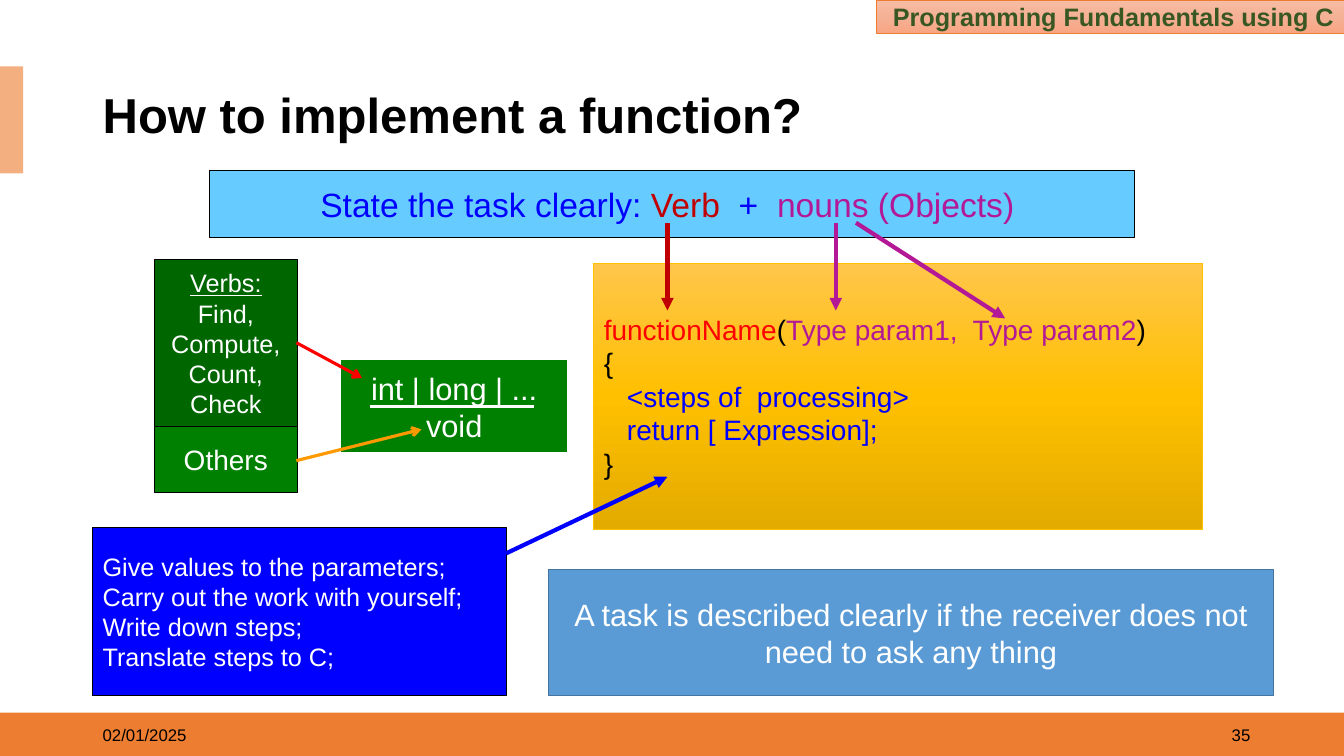
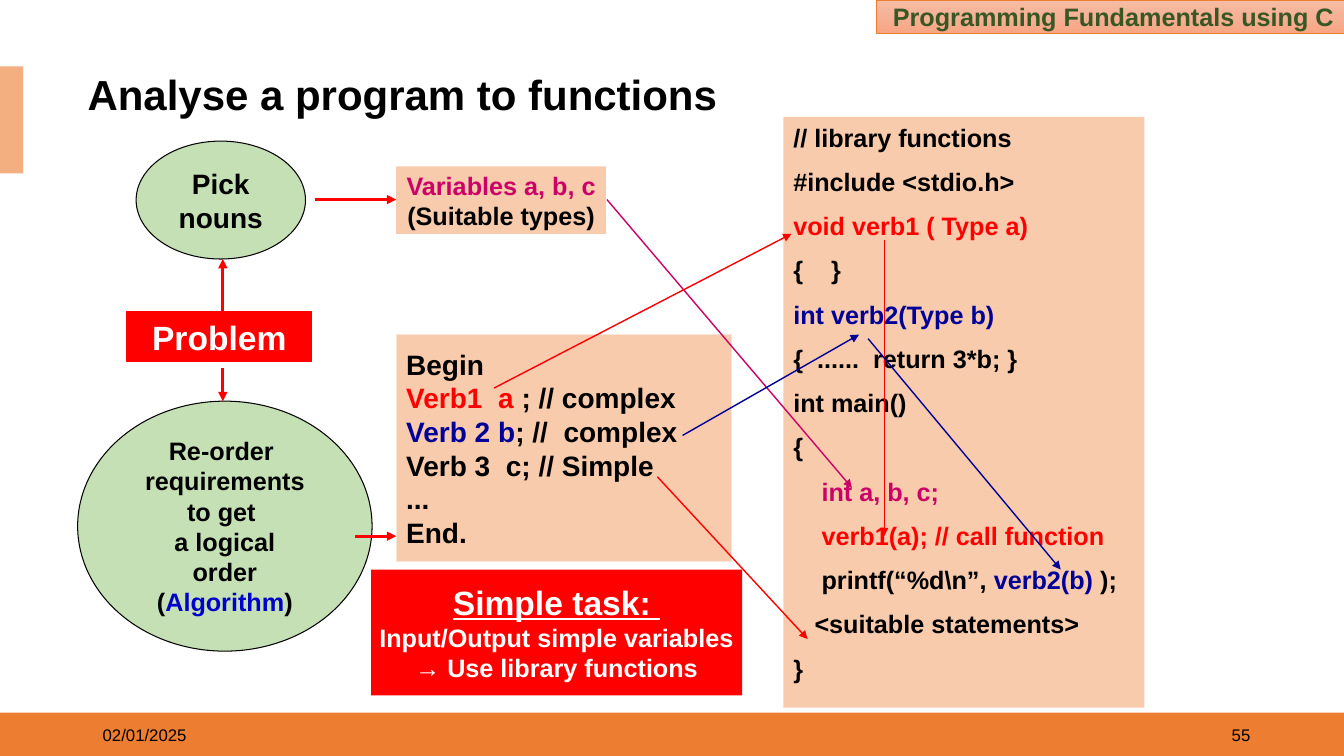
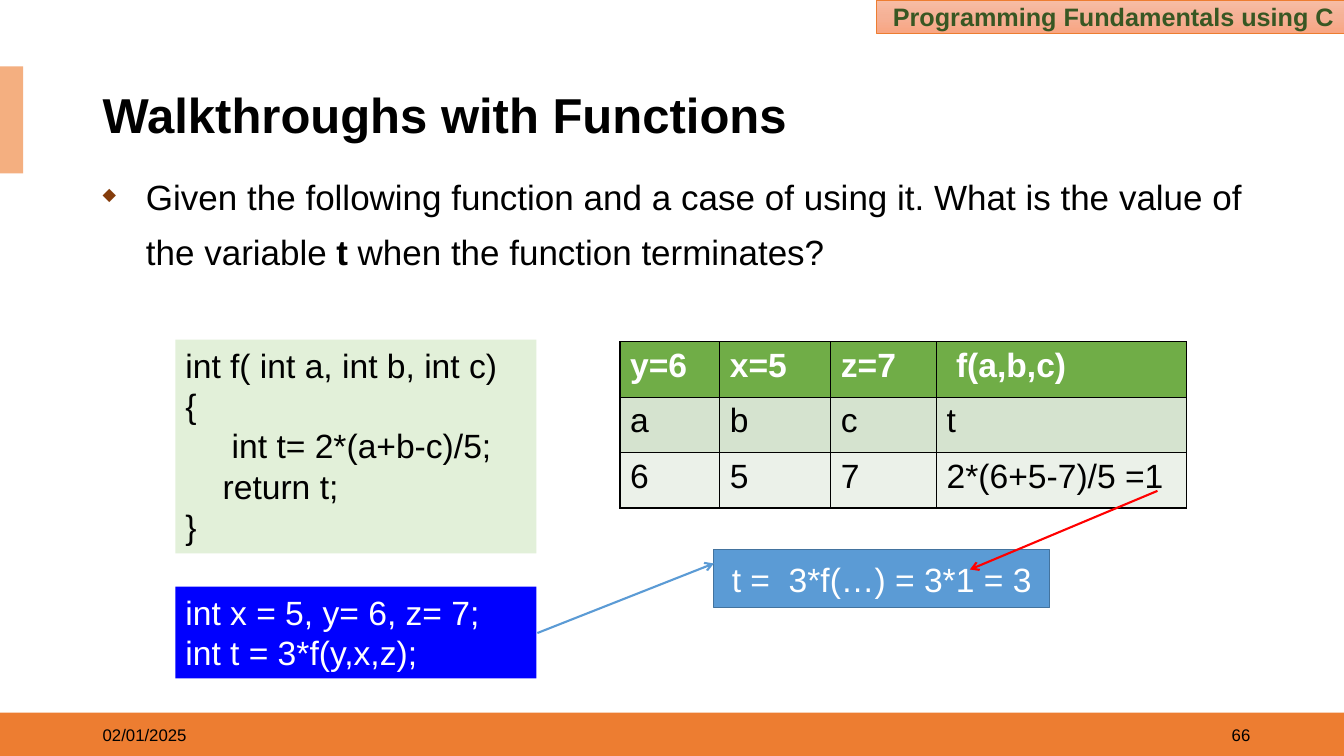
from copy import deepcopy

from lxml import etree
from pptx import Presentation
from pptx.dml.color import RGBColor
from pptx.enum.shapes import MSO_CONNECTOR, MSO_SHAPE
from pptx.enum.text import MSO_ANCHOR, PP_ALIGN
from pptx.oxml.ns import qn
from pptx.util import Inches, Pt

RECT, OVAL = MSO_SHAPE.RECTANGLE, MSO_SHAPE.OVAL
STRAIGHT = MSO_CONNECTOR.STRAIGHT
LEFT, CENTER, RIGHT = PP_ALIGN.LEFT, PP_ALIGN.CENTER, PP_ALIGN.RIGHT
JUSTIFY = PP_ALIGN.JUSTIFY
TOP, MIDDLE = MSO_ANCHOR.TOP, MSO_ANCHOR.MIDDLE

FONT = "Arial"
COLORS = {
    "black": "000000", "white": "FFFFFF", "red": "FF0000", "blue": "0000FF",
    "orange": "ED7D31", "light orange": "F4AF80", "header text": "385723",
    "header top": "F7BDA5", "header middle": "F5B196", "header bottom": "F8A582",
    "sky": "66CCFF", "dark red": "C00000", "purple": "B31996",
    "dark green": "006600", "green": "008000", "amber": "FF9900",
    "gold top": "FFC64B", "gold": "FFC000", "gold bottom": "E3AB00",
    "steel": "5B9BD5", "steel edge": "43739E",
    "leaf": "C5E0B4", "peach": "F8CBAD", "pale peach": "FBE5D6",
    "pink": "CC0066", "navy": "000099", "royal": "0000CC",
    "mint": "E2F0D9", "bullet": "843C0B",
    "table head": "70AD47", "table odd": "D5E3CF", "table even": "EBF1E9",
}


def add_box(page, at, lines=(), size=18, color="black", fill=None, line=None,
            line_width=0.75, kind=RECT, align=LEFT, anchor=MIDDLE, bold=False,
            wrap=True, before=0):
    """Add a shape, or a text box if it has no fill.

    A line is a string or a list of strings, (text, color) pairs and, first,
    an optional indent in inches. A fill of three names is a gradient.
    """
    place = [Inches(length) for length in at]
    if fill:
        box = page.shapes.add_shape(kind, *place)
        box.shadow.inherit = False
    else:
        box = page.shapes.add_textbox(*place)
    if isinstance(fill, tuple):
        box.fill.gradient()
        box.fill.gradient_angle = 270
        stops = box._element.spPr.find(".//" + qn("a:gsLst"))
        stops.insert(1, deepcopy(stops[0]))
        for stop, name, position in zip(box.fill.gradient_stops, fill, (0, 0.5, 1)):
            stop.color.rgb = RGBColor.from_string(COLORS[name])
            stop.position = position
    elif fill:
        box.fill.solid()
        box.fill.fore_color.rgb = RGBColor.from_string(COLORS[fill])
    if line:
        box.line.color.rgb = RGBColor.from_string(COLORS[line])
        box.line.width = Pt(line_width)
    else:
        box.line.fill.background()

    frame = box.text_frame
    frame.word_wrap = wrap
    frame.vertical_anchor = anchor
    for index, content in enumerate(lines):
        para = frame.add_paragraph() if index else frame.paragraphs[0]
        para.alignment = align
        para.space_before = Pt(before)
        para.font.name, para.font.size, para.font.bold = FONT, Pt(size), bold
        para.font.color.rgb = RGBColor.from_string(COLORS[color])
        for part in [content] if isinstance(content, str) else content:
            if isinstance(part, (int, float)):
                para._p.get_or_add_pPr().set("marL", str(Inches(part)))
                continue
            text, shade = (part, None) if isinstance(part, str) else part
            span = para.add_run()
            span.text = text
            if shade:
                span.font.color.rgb = RGBColor.from_string(COLORS[shade])
    return box


def add_line(page, start, end, color, width, head=None):
    connector = page.shapes.add_connector(
        STRAIGHT, *[Inches(length) for length in (*start, *end)])
    connector.line.color.rgb = RGBColor.from_string(COLORS[color])
    connector.line.width = Pt(width)
    if head:
        etree.SubElement(connector.line._get_or_add_ln(), qn("a:tailEnd"), type=head)
    etree.SubElement(connector._element.spPr, qn("a:effectLst"))


deck = Presentation()
deck.slide_width, deck.slide_height = Inches(13.33), Inches(7.5)

# Shared frame: bands, header, title and footer
pages = []
for title, number, title_at, title_size in [
    ("How to implement a function?", "35", (0.92, 0.85), 35),
    ("Analyse a program to functions", "55", (0.77, 0.65), 30),
    ("Walkthroughs with Functions", "66", (0.92, 0.85), 35),
]:
    page = deck.slides.add_slide(deck.slide_layouts[6])
    add_box(page, (0, 7.07, 13.33, 0.43), fill="orange")
    add_box(page, (0, 0.66, 0.23, 1.06), fill="light orange")
    add_box(page, (8.69, 0, 4.64, 0.33), ["Programming Fundamentals using C"],
            color="header text", bold=True, align=RIGHT, line="orange",
            line_width=0.5, fill=("header top", "header middle", "header bottom"))
    heading = add_box(page, (*title_at, 11.5, 0.63), [title], title_size, bold=True)
    heading.text_frame.paragraphs[0].line_spacing = 0.9
    add_box(page, (9.5, 7.09, 3, 0.4), [number], 12, align=RIGHT)
    add_box(page, (0.92, 7.09, 3, 0.4), ["02/01/2025"], 12)
    pages.append(page)
implement, analyse, walkthrough = pages

# Implementing a function
add_box(implement, (2.08, 1.69, 9.17, 0.67),
        [["State the task clearly: ", ("Verb  ", "dark red"), "+  ",
          ("nouns (Objects) ", "purple")]],
        24, "blue", "sky", "black", align=CENTER)
verbs = add_box(implement, (1.53, 2.57, 1.42, 1.67),
                ["Verbs:", "Find,", "Compute,", "Count,", "Check"],
                18, "white", "dark green", "black", align=CENTER, wrap=False)
verbs.text_frame.paragraphs[0].runs[0].font.underline = True
add_box(implement, (1.53, 4.23, 1.42, 0.66), ["Others"],
        20, "white", "green", "black", align=CENTER)
add_box(implement, (3.38, 3.57, 2.25, 0.92), ["int | long | ...", "void"],
        22, "white", "green", "white", align=CENTER)
add_box(implement, (5.89, 2.61, 6.04, 2.64),
        [[("functionName", "red"), "(", ("Type param1,  Type param2", "purple"), ")"],
         "{",
         [0.23, ("<steps of  processing>", "blue")],
         [0.23, ("return [ Expression];", "blue")],
         "}"],
        20, fill=("gold top", "gold", "gold bottom"), line="gold", line_width=0.5)
add_box(implement, (0.92, 5.23, 4.1, 1.67),
        ["Give values to the parameters;", "Carry out the work with yourself;",
         "Write down steps;", "Translate steps to C;"],
        18, "white", "blue", "black")
add_box(implement, (5.44, 5.65, 7.19, 1.25),
        ["A task is described clearly if the receiver does not need to ask any thing"],
        22, "white", "steel", "steel edge", 1, align=CENTER)
for start, end, color, width, head in [
    ((3.67, 4.03), (5.3, 4.03), "white", 2.25, None),
    ((2.94, 4.57), (4.18, 4.26), "amber", 2.25, "arrow"),
    ((2.94, 3.4), (3.59, 3.75), "red", 2.25, "arrow"),
    ((6.62, 2.21), (6.62, 3.08), "dark red", 3, "triangle"),
    ((8.29, 2.21), (8.29, 3.08), "purple", 3, "triangle"),
    ((8.49, 2.21), (9.97, 3.16), "purple", 3, "triangle"),
    ((5.02, 5.49), (6.62, 4.73), "blue", 3, "triangle"),
]:
    add_line(implement, start, end, color, width, head)

# Analysing a program
add_box(analyse, (1.26, 3.09, 1.83, 0.5), ["Problem"], 24, "white", "red", "red",
        align=CENTER, bold=True)
add_box(analyse, (1.35, 1.4, 1.68, 1.17), ["Pick", "nouns"], 20, fill="leaf",
        line="black", kind=OVAL, align=CENTER, bold=True, wrap=False)
add_box(analyse, (3.93, 1.65, 2.08, 0.67),
        [[("Variables a, b, c", "pink")], "(Suitable types)"],
        fill="peach", align=CENTER, bold=True, wrap=False)
add_box(analyse, (0.77, 3.98, 2.92, 2.48),
        ["Re-order ", "requirements", "to get ", "a logical", "order",
         ["(", ("Algorithm", "royal"), ")"]],
        fill="leaf", line="black", kind=OVAL, align=CENTER, bold=True, wrap=False)
add_box(analyse, (3.93, 3.32, 3.33, 2.25),
        ["Begin",
         [("Verb1  a ", "red"), "; // complex"],
         [("Verb 2 b", "navy"), "; //  complex"],
         "Verb 3  c; // Simple", "...", "End."],
        20, fill="peach", line="pale peach", bold=True)
add_box(analyse, (7.77, 1.16, 3.58, 5.86),
        ["// library functions", "#include <stdio.h>",
         [("void verb1 ( Type a)", "red")], "{    }",
         [("int verb2(Type b)", "navy")], "{  ......  return 3*b; }",
         "int main()", "{",
         [0.28, ("int a, b, c;", "pink")],
         [0.28, ("verb1(a); // call function", "red")],
         [0.28, "printf(“%d\\n”, ", ("verb2(b) ", "navy"), ");"],
         [0.21, "<suitable statements>"],
         "}"],
        fill="peach", anchor=TOP, bold=True, before=10)
for start, end, color, width in [
    ((3.52, 5.32), (3.93, 5.32), "red", 2.25),
    ((2.21, 3.15), (2.21, 2.57), "red", 2.25),
    ((2.21, 3.65), (2.21, 3.98), "red", 2.25),
    ((3.12, 1.98), (3.93, 1.98), "red", 2.25),
    ((6.02, 1.98), (8.45, 4.84), "pink", 1),
    ((4.9, 3.85), (7.85, 2.32), "red", 1),
    ((6.77, 4.32), (8.52, 3.32), "navy", 1),
    ((6.52, 4.73), (8.01, 6.34), "red", 1),
    ((8.77, 2.38), (8.77, 5.32), "red", 1),
    ((8.61, 3.36), (10.52, 5.65), "navy", 1),
]:
    add_line(analyse, start, end, color, width, "triangle")
simple_task = add_box(analyse, (3.68, 5.65, 3.68, 1.25),
                      ["Simple task: ", "Input/Output simple variables",
                       "→ Use library functions"],
                      18, "white", "red", align=CENTER, bold=True, wrap=False)
task_font = simple_task.text_frame.paragraphs[0].font
task_font.size, task_font.underline = Pt(24), True

# Walkthrough
question = add_box(walkthrough, (0.92, 1.57, 11.5, 1.4),
                   [["Given the following function and a case of using it. "
                     "What is the value of the variable ",
                     "t", " when the function terminates?"]],
                   25, align=JUSTIFY, anchor=TOP, before=10)
para = question.text_frame.paragraphs[0]
para.line_spacing = 1.3
para.runs[1].font.bold = True
properties = para._p.get_or_add_pPr()
properties.set("marL", str(Inches(0.43)))
properties.set("indent", str(Inches(-0.43)))
bullet_color = etree.Element(qn("a:buClr"))
etree.SubElement(bullet_color, qn("a:srgbClr"), val=COLORS["bullet"])
bullet_size = etree.Element(qn("a:buSzPct"), val="50000")
bullet_mark = etree.Element(qn("a:buChar"), char="◆")
for element in (bullet_color, bullet_size, bullet_mark):
    properties.find(qn("a:defRPr")).addprevious(element)

add_box(walkthrough, (1.74, 3.37, 3.58, 2.12),
        ["int f( int a, int b, int c)", "{", [0.46, "int t= 2*(a+b-c)/5;"],
         [0.37, "return t;"], "}"],
        24, fill="mint", anchor=TOP)
add_box(walkthrough, (1.74, 5.82, 3.58, 0.91),
        ["int x = 5, y= 6, z= 7;", "int t = 3*f(y,x,z);"],
        24, "white", "blue", anchor=TOP)

rows = [["y=6", "x=5", "z=7", " f(a,b,c)"],
        ["a", "b", "c", "t"],
        ["6", "5", "7", "2*(6+5-7)/5 =1"]]
row_fills = ["table head", "table odd", "table even"]
table = walkthrough.shapes.add_table(
    3, 4, Inches(6.15), Inches(3.39), Inches(5.62), Inches(1.65)).table
for column, width in zip(table.columns, (0.99, 1.1, 1.05, 2.48)):
    column.width = Inches(width)
for row_index, (values, row_fill) in enumerate(zip(rows, row_fills)):
    table.rows[row_index].height = Inches(0.55)
    for column_index, value in enumerate(values):
        cell = table.cell(row_index, column_index)
        cell.text = value
        font = cell.text_frame.paragraphs[0].font
        font.name, font.size, font.bold = FONT, Pt(24), row_index == 0
        font.color.rgb = RGBColor.from_string(COLORS["black" if row_index else "white"])
        for position, side in enumerate(("a:lnL", "a:lnR", "a:lnT", "a:lnB")):
            border = etree.Element(qn(side), w=str(Pt(1)))
            paint = etree.SubElement(border, qn("a:solidFill"))
            etree.SubElement(paint, qn("a:srgbClr"), val=COLORS["black"])
            cell._tc.get_or_add_tcPr().insert(position, border)
        cell.fill.solid()
        cell.fill.fore_color.rgb = RGBColor.from_string(COLORS[row_fill])

add_box(walkthrough, (7.08, 5.45, 3.33, 0.58), ["t =  3*f(…) = 3*1 = 3"],
        24, "white", "steel", "steel edge", 1, align=CENTER)
add_line(walkthrough, (5.33, 6.28), (7.08, 5.59), "steel", 1.5, "arrow")
add_line(walkthrough, (11.48, 4.87), (9.62, 5.65), "red", 1.5, "arrow")

deck.save("out.pptx")
